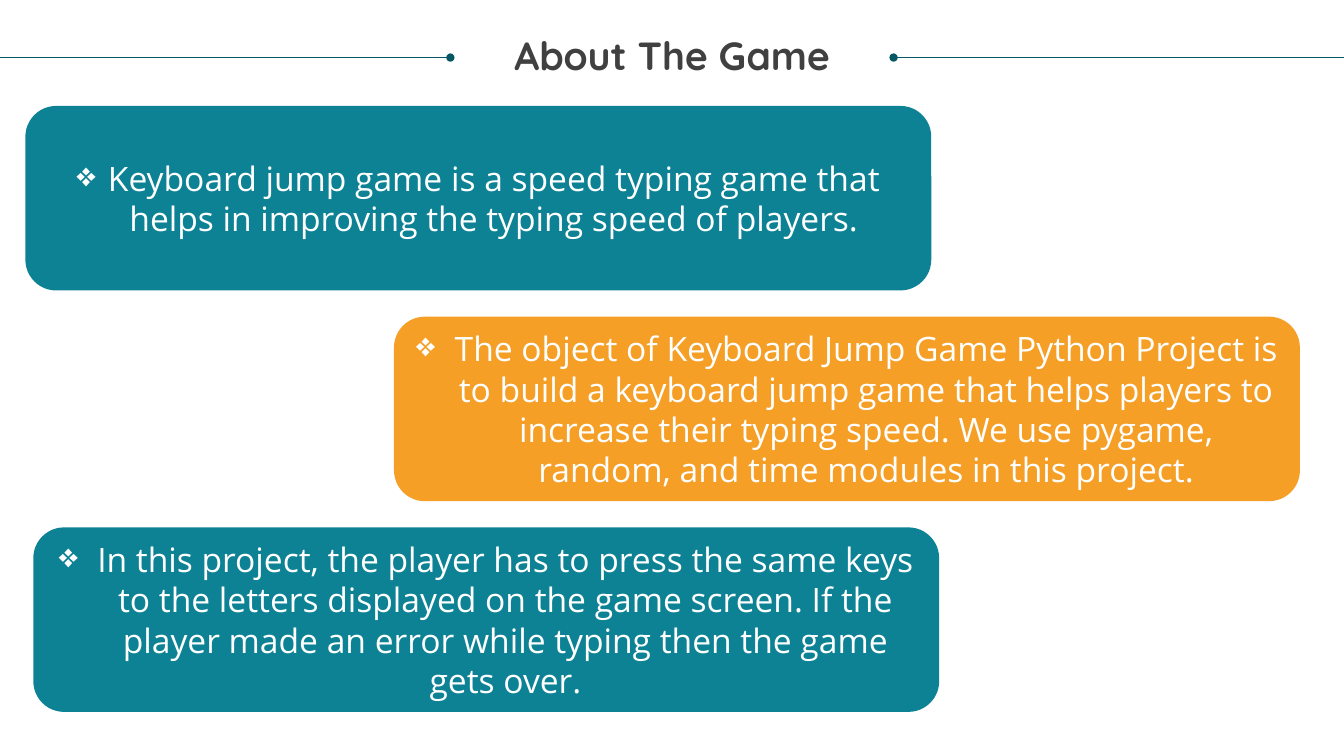
from dataclasses import dataclass

from lxml.etree import SubElement
from pptx import Presentation
from pptx.dml.color import RGBColor
from pptx.enum.shapes import MSO_CONNECTOR, MSO_SHAPE
from pptx.enum.text import MSO_ANCHOR, MSO_AUTO_SIZE, PP_ALIGN
from pptx.oxml.ns import qn
from pptx.util import Cm, Pt

SLIDE_WIDTH, SLIDE_HEIGHT = 33.87, 19.05
TEAL, ORANGE, WHITE = "0D8295", "F59F26", "FFFFFF"
RULE_COLOUR, HEADING_COLOUR = "085764", "404040"
RULE_Y, RULE_LENGTH = 1.45, 11.35
CARD_WIDTH, CARD_HEIGHT = 22.83, 4.65
FIRST_CARD_TOP, CARD_PITCH = 2.67, 5.31


@dataclass
class Rule:
    start: float
    end: float
    dotted_end: str


@dataclass
class Card:
    left: float
    fill: str
    indent: float
    statement: str


RULES = [
    Rule(SLIDE_WIDTH - RULE_LENGTH, SLIDE_WIDTH, "a:headEnd"),
    Rule(0, RULE_LENGTH, "a:tailEnd"),
]
CARDS = [
    Card(0.64, TEAL, 0.79,
         "Keyboard jump game is a speed typing game that helps in improving "
         "the typing speed of players."),
    Card(9.93, ORANGE, 0.97,
         "The object of Keyboard Jump Game Python Project is to build a keyboard "
         "jump game that helps players to increase their typing speed. We use "
         "pygame, random, and time modules in this project."),
    Card(0.84, TEAL, 0.97,
         "In this project, the player has to press the same keys to the letters "
         "displayed on the game screen. If the player made an error while typing "
         "then the game gets over."),
]


def colour(value: str) -> RGBColor:
    return RGBColor.from_string(value)


def write(paragraph, words: str, font_name: str, size: int, ink: str, bold: bool = False) -> None:
    paragraph.text = words
    paragraph.alignment = PP_ALIGN.CENTER
    font = paragraph.runs[0].font
    font.name, font.size, font.bold = font_name, Pt(size), bold
    font.color.rgb = colour(ink)


def add_bullet(paragraph, indent: float) -> None:
    properties = paragraph._p.get_or_add_pPr()
    properties.set("marL", str(Cm(indent)))
    properties.set("indent", str(-Cm(indent)))
    SubElement(properties, qn("a:buChar"), char="❖")


def draw_rule(slide, rule: Rule) -> None:
    connector = slide.shapes.add_connector(
        MSO_CONNECTOR.STRAIGHT, Cm(rule.start), Cm(RULE_Y), Cm(rule.end), Cm(RULE_Y))
    connector.line.width = Pt(0.5)
    connector.line.color.rgb = colour(RULE_COLOUR)
    SubElement(connector.line._get_or_add_ln(), qn(rule.dotted_end), type="oval")
    SubElement(connector._element.spPr, qn("a:effectLst"))


def draw_heading(slide, words: str) -> None:
    heading = slide.shapes.add_textbox(Cm(0.64), Cm(0.91), Cm(32.59), Cm(1.07))
    frame = heading.text_frame
    frame.word_wrap = True
    frame.auto_size = MSO_AUTO_SIZE.SHAPE_TO_FIT_TEXT
    frame.margin_left = frame.margin_right = frame.margin_top = frame.margin_bottom = 0
    write(frame.paragraphs[0], words, "Quicksand", 28, HEADING_COLOUR, bold=True)
    frame.paragraphs[0].line_spacing = 0.9


def draw_card(slide, card: Card, top: float) -> None:
    panel = slide.shapes.add_shape(
        MSO_SHAPE.ROUNDED_RECTANGLE, Cm(card.left), Cm(top), Cm(CARD_WIDTH), Cm(CARD_HEIGHT))
    panel.shadow.inherit = False
    panel.fill.solid()
    panel.fill.fore_color.rgb = colour(card.fill)
    panel.line.fill.background()
    frame = panel.text_frame
    frame.word_wrap = True
    frame.vertical_anchor = MSO_ANCHOR.MIDDLE
    write(frame.paragraphs[0], card.statement, "Open Sans", 24, WHITE)
    add_bullet(frame.paragraphs[0], card.indent)


presentation = Presentation()
presentation.slide_width, presentation.slide_height = Cm(SLIDE_WIDTH), Cm(SLIDE_HEIGHT)
slide = presentation.slides.add_slide(presentation.slide_layouts[6])

# Heading between two dotted rules
right_rule, left_rule = RULES
draw_rule(slide, right_rule)
draw_heading(slide, "About The Game")
draw_rule(slide, left_rule)

# Staggered statement cards
for row, card in enumerate(CARDS):
    draw_card(slide, card, FIRST_CARD_TOP + row * CARD_PITCH)

presentation.save("out.pptx")
